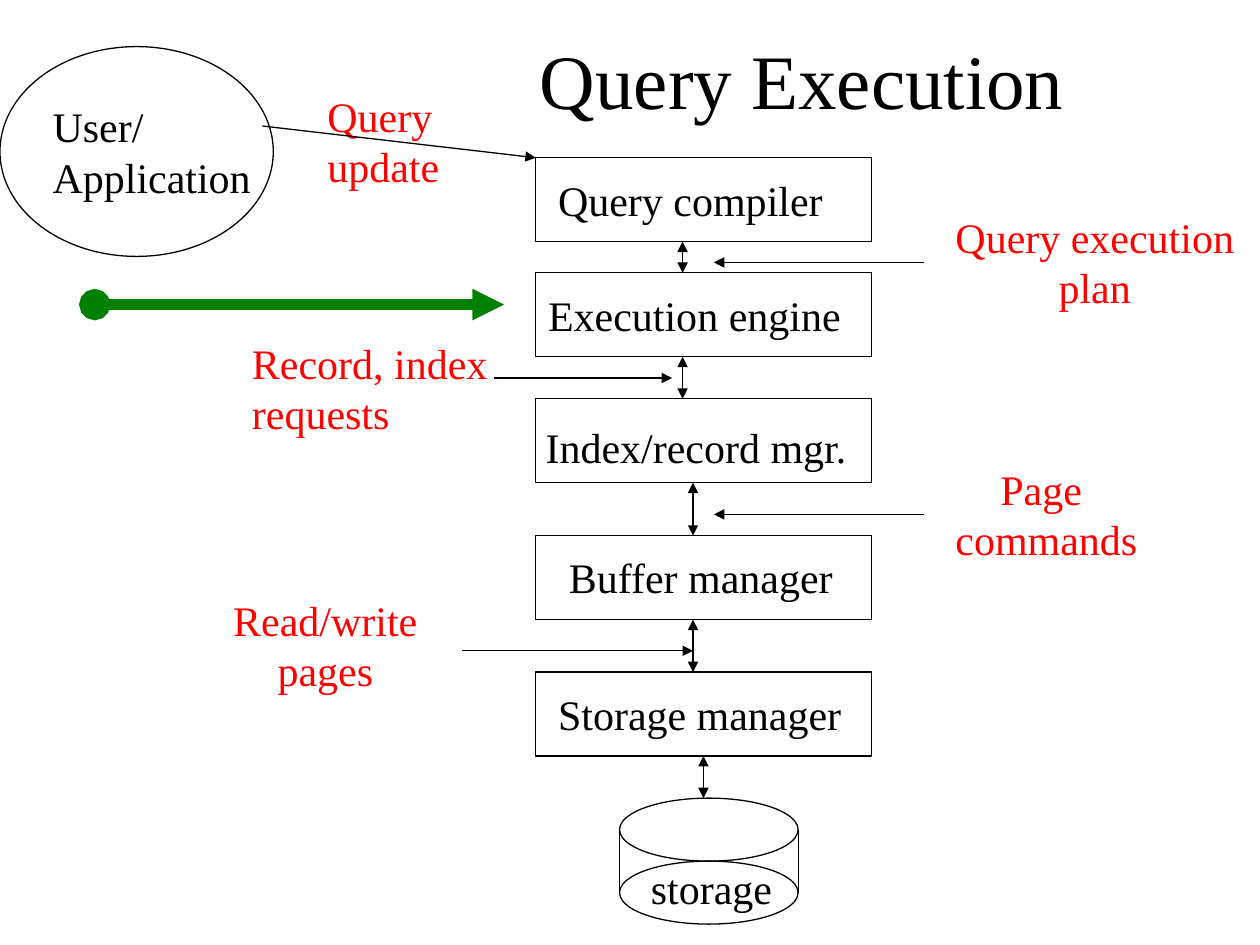
from dataclasses import dataclass
from itertools import pairwise

from lxml.etree import SubElement
from pptx import Presentation
from pptx.dml.color import RGBColor
from pptx.enum.shapes import MSO_CONNECTOR, MSO_SHAPE
from pptx.enum.text import MSO_ANCHOR, MSO_AUTO_SIZE, PP_ALIGN
from pptx.oxml.ns import qn
from pptx.slide import Slide
from pptx.text.text import TextFrame
from pptx.util import Cm, Pt

BLACK = RGBColor(0x00, 0x00, 0x00)
RED = RGBColor(0xFF, 0x00, 0x00)
GREEN = RGBColor(0x00, 0x80, 0x00)
FONT = "Times New Roman"

# All lengths are in centimetres.
LINE_HEIGHT = 1.27
STAGE_LEFT, STAGE_WIDTH, STAGE_HEIGHT = 10.8, 6.77, 1.69
DISK_LEFT, DISK_TOP, DISK_WIDTH, DISK_HEIGHT = 12.49, 16.09, 3.6, 1.27


@dataclass
class Label:
    text: str
    left: float
    top: float
    width: float
    color: RGBColor = BLACK
    align: PP_ALIGN = PP_ALIGN.LEFT


@dataclass
class Line:
    start: tuple[float, float]
    end: tuple[float, float]
    head: str = ""
    tail: str = ""
    color: RGBColor = BLACK
    weight: float = 0.75


@dataclass
class Stage:
    """A box of the pipeline, with the x of the arrow that leaves it."""
    top: float
    arrow_x: float


STAGES = [
    Stage(3.18, 13.76),
    Stage(5.5, 13.76),
    Stage(8.04, 13.97),
    Stage(10.8, 13.97),
    Stage(13.55, 14.18),
]

LABELS = [
    Label("Query compiler", 11.0, 3.39, 5.86),
    Label("Execution engine", 10.8, 5.72, 6.45),
    Label("Index/record mgr.", 10.75, 8.38, 6.62),
    Label("Buffer manager", 11.22, 11.0, 5.86),
    Label("Storage manager", 11.0, 13.76, 6.25),
    Label("storage", 12.87, 17.27, 2.97),
    Label("User/\nApplication", 0.81, 1.91, 4.5),
    Label("Query\nupdate", 6.35, 1.7, 2.8),
    Label("Query execution\nplan", 19.0, 4.14, 6.14, RED, PP_ALIGN.CENTER),
    Label("Record, index\nrequests", 4.83, 6.68, 5.28, RED),
    Label("Page \ncommands", 19.0, 9.22, 4.19, RED, PP_ALIGN.CENTER),
    Label("Read/write\npages", 4.45, 11.86, 4.22, RED, PP_ALIGN.CENTER),
]
LABELS[7].color = RED

POINTERS = [
    Line((18.62, 5.29), (14.39, 5.29), tail="triangle"),
    Line((9.95, 7.62), (13.55, 7.62), tail="triangle"),
    Line((18.62, 10.37), (14.39, 10.37), tail="triangle"),
    Line((9.31, 13.12), (13.97, 13.12), tail="triangle"),
    Line((5.29, 2.54), (10.8, 3.18), tail="triangle"),
    Line((1.91, 6.14), (10.16, 6.14), "oval", "triangle", GREEN, 6),
]


def format_text(frame: TextFrame, size: float, color: RGBColor, align: PP_ALIGN) -> None:
    for para in frame.paragraphs:
        para.alignment = align
        for span in para.runs:
            span.font.name = FONT
            span.font.size = Pt(size)
            span.font.color.rgb = color


def set_title(page: Slide, text: str) -> None:
    title = page.shapes.title
    title.left, title.top = Cm(1.69), Cm(0)
    title.width, title.height = Cm(21.59), Cm(3.18)
    frame = title.text_frame
    frame.text = text
    frame.margin_left = Cm(7.62)  # centres the title right of the user ellipse
    frame.vertical_anchor = MSO_ANCHOR.MIDDLE
    format_text(frame, 44, BLACK, PP_ALIGN.CENTER)


def draw_outline(page: Slide, kind: MSO_SHAPE, left: float, top: float,
                 width: float, height: float) -> None:
    shape = page.shapes.add_shape(kind, Cm(left), Cm(top), Cm(width), Cm(height))
    shape.shadow.inherit = False
    shape.fill.background()
    shape.line.color.rgb = BLACK
    shape.line.width = Pt(0.75)


def draw_label(page: Slide, label: Label) -> None:
    height = 2.29 if "\n" in label.text else LINE_HEIGHT
    box = page.shapes.add_textbox(Cm(label.left), Cm(label.top), Cm(label.width), Cm(height))
    frame = box.text_frame
    frame.word_wrap = False
    frame.auto_size = MSO_AUTO_SIZE.SHAPE_TO_FIT_TEXT
    frame.text = label.text
    format_text(frame, 24, label.color, label.align)


def draw_line(page: Slide, line: Line) -> None:
    connector = page.shapes.add_connector(
        MSO_CONNECTOR.STRAIGHT, *(Cm(value) for value in line.start + line.end))
    connector.line.color.rgb = line.color
    connector.line.width = Pt(line.weight)
    stroke = connector.line._get_or_add_ln()
    for tag, kind in (("a:headEnd", line.head), ("a:tailEnd", line.tail)):
        if kind:
            SubElement(stroke, qn(tag), type=kind)
    SubElement(connector._element.spPr, qn("a:effectLst"))


def draw_disk(page: Slide) -> None:
    for top in (DISK_TOP, DISK_TOP + DISK_HEIGHT):
        draw_outline(page, MSO_SHAPE.OVAL, DISK_LEFT, top, DISK_WIDTH, DISK_HEIGHT)
    side_top = DISK_TOP + DISK_HEIGHT / 2
    for x in (DISK_LEFT, DISK_LEFT + DISK_WIDTH):
        draw_line(page, Line((x, side_top), (x, side_top + DISK_HEIGHT)))


def main() -> None:
    deck = Presentation()
    deck.slide_width, deck.slide_height = Cm(25.4), Cm(19.05)
    page = deck.slides.add_slide(deck.slide_layouts[5])
    set_title(page, "Query Execution")

    for stage in STAGES:
        draw_outline(page, MSO_SHAPE.RECTANGLE, STAGE_LEFT, stage.top, STAGE_WIDTH, STAGE_HEIGHT)
    draw_disk(page)
    draw_outline(page, MSO_SHAPE.OVAL, 0, 0.94, 5.51, 4.23)

    for label in LABELS:
        draw_label(page, label)

    tops = [stage.top for stage in STAGES] + [DISK_TOP]
    for stage, (top, next_top) in zip(STAGES, pairwise(tops)):
        x = stage.arrow_x
        draw_line(page, Line((x, top + STAGE_HEIGHT), (x, next_top), "triangle", "triangle"))
    for pointer in POINTERS:
        draw_line(page, pointer)

    deck.save("out.pptx")


if __name__ == "__main__":
    main()
